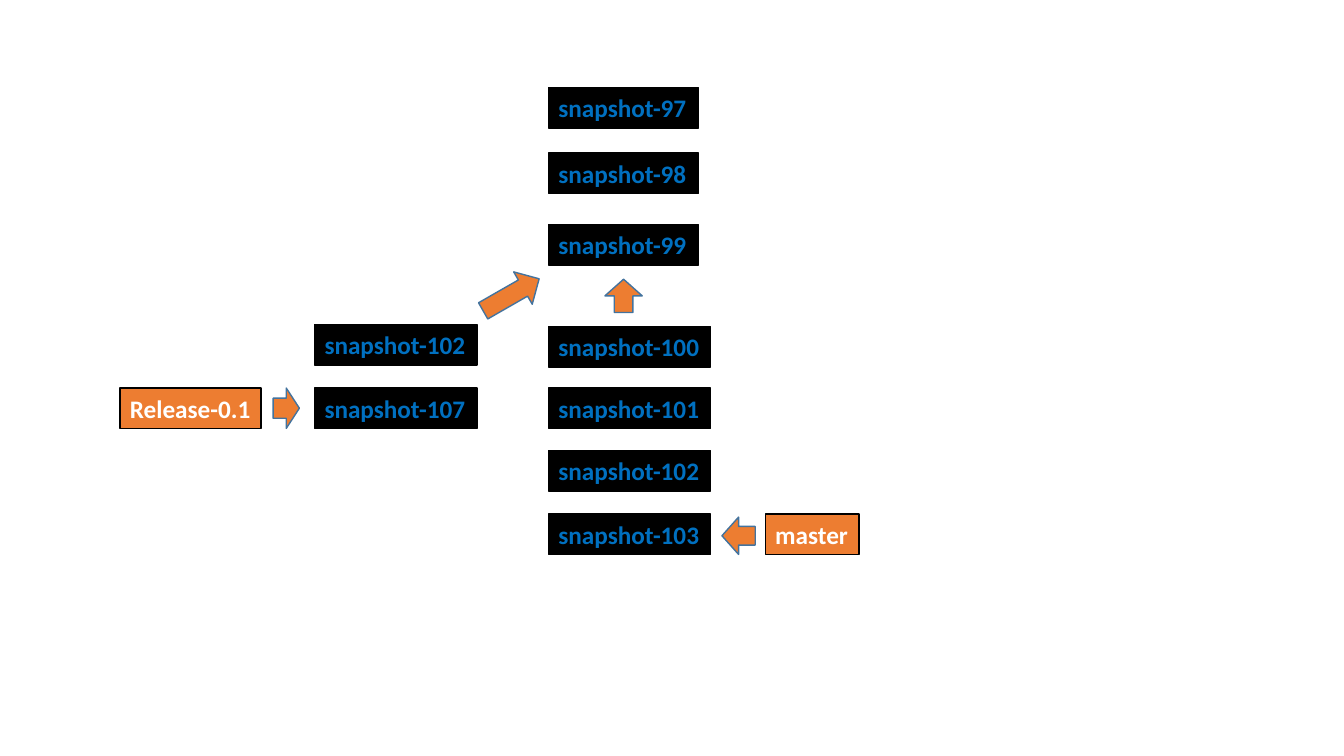
"""Draw a snapshot history with a release branch and a master branch."""
from pptx import Presentation
from pptx.dml.color import RGBColor
from pptx.enum import shapes, text
from pptx.util import Inches, Pt

SLIDE = (13.33, 7.5)
BLACK, BLUE, ORANGE, WHITE, EDGE = "000000", "0070C0", "ED7D31", "FFFFFF", "43739E"
COLUMNS = {"release label": 1.19, "release": 3.12, "main": 5.44, "master label": 7.59}
ROWS = (0.87, 1.52, 2.23, 3.24, 3.85, 4.47, 5.1)
BRANCH_TOP = 3.22
BOX_HEIGHT = 0.4
SHORT, LONG = 1.49, 1.61

MAIN = (("snapshot-97", SHORT), ("snapshot-98", SHORT), ("snapshot-99", SHORT),
        ("snapshot-100", LONG), ("snapshot-101", LONG), ("snapshot-102", LONG),
        ("snapshot-103", LONG))
RELEASE = (("snapshot-102", BRANCH_TOP), ("snapshot-107", ROWS[4]))
LABELS = (("Release-0.1", "release label", ROWS[4], 1.4),
          ("master", "master label", ROWS[6], 0.93))
ARROWS = (((2.71, ROWS[4], 0.26, BOX_HEIGHT), 0),
          ((6.02, 2.75, 0.33, 0.37), 270),
          ((7.16, 5.13, 0.33, 0.37), 180),
          ((4.75, 2.74, 0.64, 0.37), 330.2))


def color(value):
    return RGBColor.from_string(value)


def add_block(page, kind, place, fill, line):
    block = page.shapes.add_shape(kind, *(Inches(length) for length in place))
    block.shadow.inherit = False
    block.fill.solid()
    block.fill.fore_color.rgb = color(fill)
    block.line.color.rgb = color(line)
    block.line.width = Pt(1)
    return block


def add_box(page, words, column, top, width, fill, ink):
    place = (COLUMNS[column], top, width, BOX_HEIGHT)
    box = add_block(page, shapes.MSO_SHAPE.RECTANGLE, place, fill, BLACK)
    frame = box.text_frame
    frame.text = words
    frame.word_wrap = False
    frame.auto_size = text.MSO_AUTO_SIZE.SHAPE_TO_FIT_TEXT
    frame.vertical_anchor = text.MSO_ANCHOR.TOP
    para = frame.paragraphs[0]
    para.alignment = text.PP_ALIGN.LEFT
    font = para.runs[0].font
    font.name, font.size, font.bold = "Calibri", Pt(18), True
    font.color.rgb = color(ink)


def main():
    deck = Presentation()
    deck.slide_width, deck.slide_height = (Inches(length) for length in SLIDE)
    page = deck.slides.add_slide(deck.slide_layouts[6])
    for (words, width), top in zip(MAIN, ROWS):
        add_box(page, words, "main", top, width, BLACK, BLUE)
    for words, top in RELEASE:
        add_box(page, words, "release", top, LONG, BLACK, BLUE)
    for words, column, top, width in LABELS:
        add_box(page, words, column, top, width, ORANGE, WHITE)
    for place, angle in ARROWS:
        arrow = add_block(page, shapes.MSO_SHAPE.RIGHT_ARROW, place, ORANGE, EDGE)
        arrow.rotation = angle
    deck.save("out.pptx")


if __name__ == "__main__":
    main()
